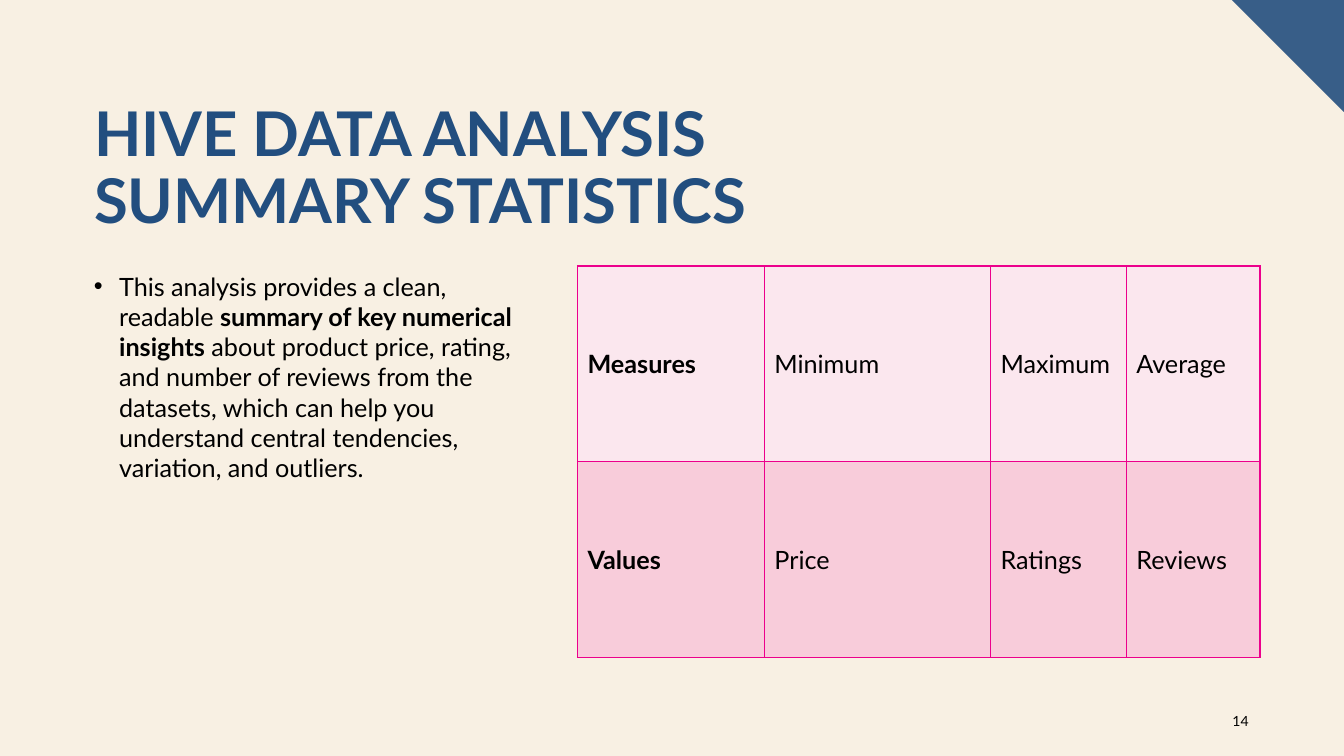
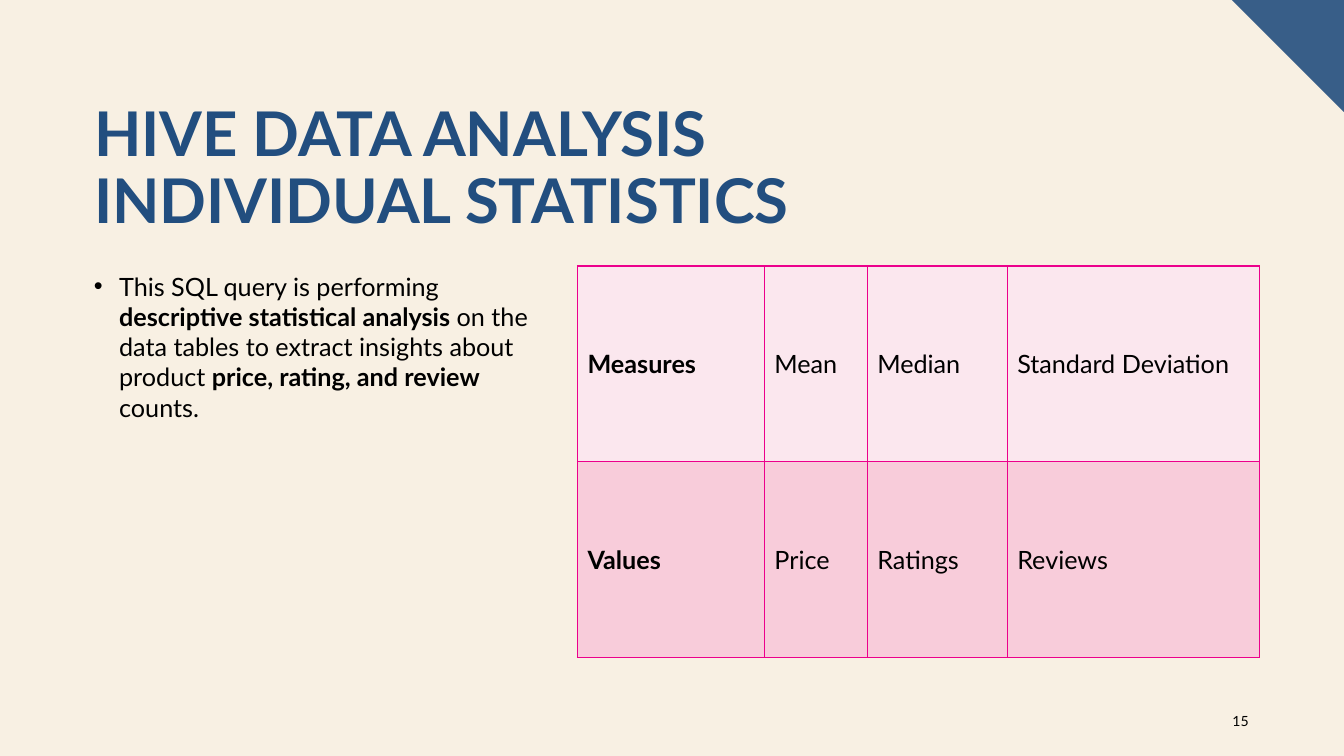
import lxml.etree
import pptx
import pptx.dml.color
import pptx.enum.text
import pptx.oxml.ns
import pptx.util

Pt = pptx.util.Pt
ANCHOR = pptx.enum.text.MSO_ANCHOR
ALIGN = pptx.enum.text.PP_ALIGN
qn = pptx.oxml.ns.qn

SLIDE_SIZE = (960, 540)
CORNER_SIDE = 80
TITLE_BOX = (60, 70.5, 840, 104.5)
BODY_BOX = (60, 190, 337, 294.5)
TABLE_BOX = (412.5, 190, 487.5, 279.5)
NUMBER_BOX = (863, 500.5, 36, 29)

CREAM = "F8F0E3"
CORNER_BLUE = "385E88"
BORDER_PINK = "EC008C"
ROW_FILLS = ("FBE7EE", "F8CCDA")

TITLE_FORMAT = {"name": "Lato", "size": Pt(44), "bold": True, "color": "224E7F"}
BODY_FORMAT = {"name": "Lato", "size": Pt(18), "bold": False, "color": "000000"}
STRONG_FORMAT = {**BODY_FORMAT, "bold": True}
NUMBER_FORMAT = {**BODY_FORMAT, "size": Pt(10)}

VALUES_ROW = ("Values", "Price", "Ratings", "Reviews")
SLIDES = (
    {
        "number": 14,
        "title": ("HIVE DATA ANALYSIS", "SUMMARY STATISTICS"),
        "body": (
            ("This analysis provides a clean, readable ", BODY_FORMAT),
            ("summary of key numerical insights", STRONG_FORMAT),
            (" about product price, rating, and number of reviews from the datasets, "
             "which can help you understand central tendencies, variation, and outliers.",
             BODY_FORMAT),
        ),
        "rows": (("Measures", "Minimum", "Maximum", "Average"), VALUES_ROW),
        "widths": (133.5, 161.5, 97, 95.5),
    },
    {
        "number": 15,
        "title": ("HIVE DATA ANALYSIS", "INDIVIDUAL STATISTICS"),
        "body": (
            ("This SQL query is performing ", BODY_FORMAT),
            ("descriptive statistical analysis", STRONG_FORMAT),
            (" on the data tables to extract insights about product ", BODY_FORMAT),
            ("price, rating, and review", STRONG_FORMAT),
            (" counts.", BODY_FORMAT),
        ),
        "rows": (("Measures", "Mean", "Median", "Standard Deviation"), VALUES_ROW),
        "widths": (133.5, 73.5, 100, 180.5),
    },
)


def rgb(value):
    """Return the colour for a hex string."""
    return pptx.dml.color.RGBColor.from_string(value)


def points(box):
    """Convert a box given in points to lengths."""
    return [Pt(length) for length in box]


def set_attributes(target, values):
    """Set each named attribute of the target."""
    for name, value in values.items():
        setattr(target, name, value)


def add_run(paragraph, text, text_format):
    """Add a formatted run to a paragraph."""
    run = paragraph.add_run()
    run.text = text
    for name, value in text_format.items():
        if name == "color":
            run.font.color.rgb = rgb(value)
        else:
            setattr(run.font, name, value)


def add_corner(slide, side):
    """Draw the triangle in the top right corner."""
    right = SLIDE_SIZE[0]
    builder = slide.shapes.build_freeform(right - side, 0, scale=Pt(1))
    builder.add_line_segments([(right, 0), (right, side)], close=True)
    corner = builder.convert_to_shape()
    corner.shadow.inherit = False
    corner.fill.solid()
    corner.fill.fore_color.rgb = rgb(CORNER_BLUE)
    corner.line.fill.background()


def place_title(slide, box, lines):
    """Move the title placeholder and fill in its lines."""
    title = slide.shapes.title
    set_attributes(title, dict(zip(("left", "top", "width", "height"), points(box))))
    set_attributes(title.text_frame, {
        "word_wrap": True,
        "auto_size": pptx.enum.text.MSO_AUTO_SIZE.NONE,
        "vertical_anchor": ANCHOR.TOP,
    })
    paragraph = title.text_frame.paragraphs[0]
    set_attributes(paragraph, {"alignment": ALIGN.LEFT, "line_spacing": 0.9})
    for index, line in enumerate(lines):
        if index:
            paragraph.add_line_break()
        add_run(paragraph, line, TITLE_FORMAT)


def add_text_box(slide, box, runs, anchor, alignment):
    """Add a wrapped one-paragraph text box and return its paragraph."""
    frame = slide.shapes.add_textbox(*points(box)).text_frame
    set_attributes(frame, {"word_wrap": True, "vertical_anchor": anchor})
    paragraph = frame.paragraphs[0]
    paragraph.alignment = alignment
    for text, text_format in runs:
        add_run(paragraph, text, text_format)
    return paragraph


def add_body(slide, box, runs):
    """Add the bulleted explanation."""
    paragraph = add_text_box(slide, box, runs, ANCHOR.TOP, ALIGN.LEFT)
    properties = paragraph._p.get_or_add_pPr()
    properties.set("marL", str(Pt(18)))
    properties.set("indent", str(-Pt(18)))
    lxml.etree.SubElement(properties, qn("a:buFont")).set("typeface", "Arial")
    lxml.etree.SubElement(properties, qn("a:buChar")).set("char", "•")
    paragraph.space_after = Pt(12)


def add_borders(cell):
    """Give a table cell a thin line on each side."""
    properties = cell._tc.get_or_add_tcPr()
    for side in ("a:lnL", "a:lnR", "a:lnT", "a:lnB"):
        line = lxml.etree.SubElement(properties, qn(side))
        line.set("w", str(Pt(1)))
        fill = lxml.etree.SubElement(line, qn("a:solidFill"))
        lxml.etree.SubElement(fill, qn("a:srgbClr")).set("val", BORDER_PINK)


def add_statistics_table(slide, box, rows, widths):
    """Add the table of measures and values."""
    table = slide.shapes.add_table(len(rows), len(widths), *points(box)).table
    set_attributes(table, {"first_row": False, "horz_banding": False})
    for column, width in zip(table.columns, widths):
        column.width = Pt(width)
    for row_index, texts in enumerate(rows):
        for column_index, text in enumerate(texts):
            cell = table.cell(row_index, column_index)
            cell.vertical_anchor = ANCHOR.MIDDLE
            add_borders(cell)
            cell.fill.solid()
            cell.fill.fore_color.rgb = rgb(ROW_FILLS[row_index])
            text_format = BODY_FORMAT if column_index else STRONG_FORMAT
            add_run(cell.text_frame.paragraphs[0], text, text_format)


def build_statistics_slide(presentation, content):
    """Build one slide with title, explanation, table and number."""
    slide = presentation.slides.add_slide(presentation.slide_layouts[5])
    add_corner(slide, CORNER_SIDE)
    place_title(slide, TITLE_BOX, content["title"])
    add_body(slide, BODY_BOX, content["body"])
    add_statistics_table(slide, TABLE_BOX, content["rows"], content["widths"])
    number_runs = [(str(content["number"]), NUMBER_FORMAT)]
    add_text_box(slide, NUMBER_BOX, number_runs, ANCHOR.MIDDLE, ALIGN.RIGHT)


def main():
    """Build and save the presentation."""
    presentation = pptx.Presentation()
    presentation.slide_width, presentation.slide_height = points(SLIDE_SIZE)
    background = presentation.slide_master.background.fill
    background.solid()
    background.fore_color.rgb = rgb(CREAM)
    for content in SLIDES:
        build_statistics_slide(presentation, content)
    presentation.save("out.pptx")


if __name__ == "__main__":
    main()
